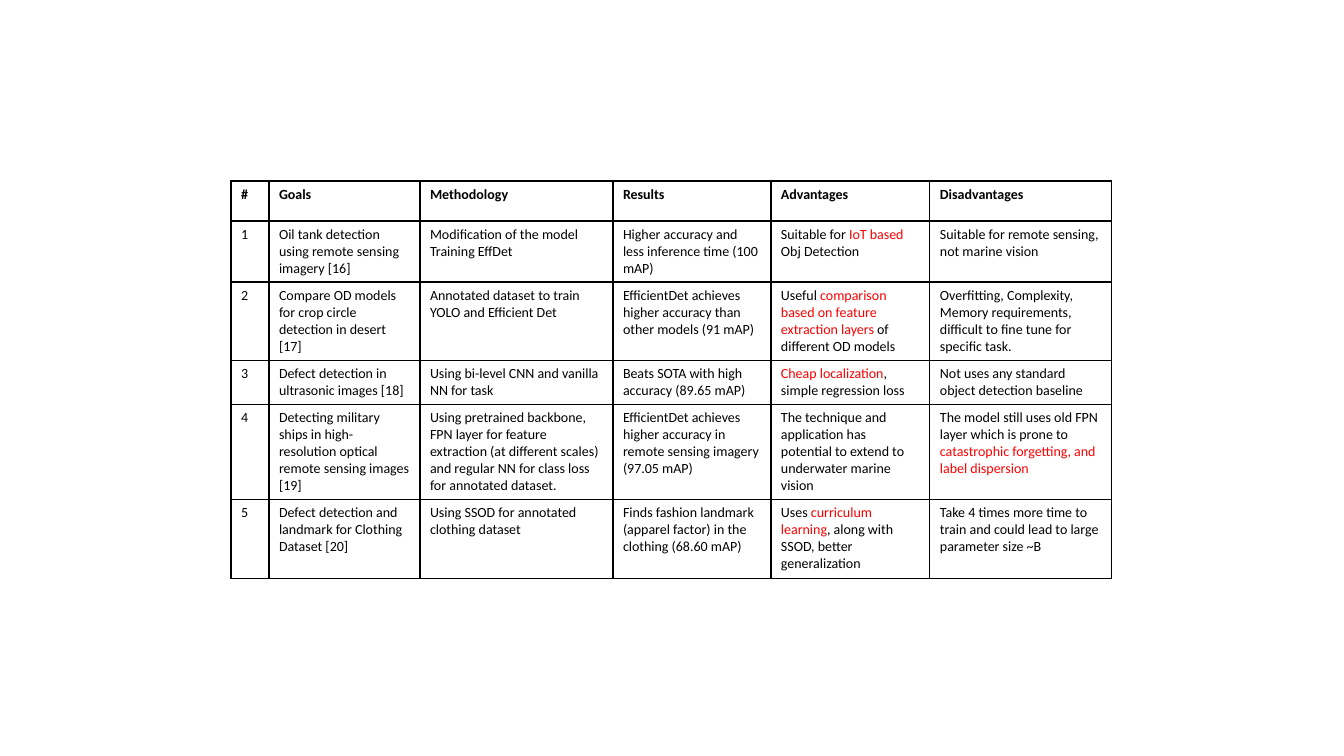
"""Build a slide with a table comparing object detection studies."""
from typing import NamedTuple

from lxml.etree import SubElement
from pptx import Presentation
from pptx.dml.color import RGBColor
from pptx.oxml.ns import qn
from pptx.util import Emu, Pt

BLACK = RGBColor(0x00, 0x00, 0x00)
RED = RGBColor(0xFF, 0x00, 0x00)
FONT = "Calibri"
SIZE = Pt(10)
BORDER = Pt(1)
SCALE = 914400 / 100.8
LEFT, TOP = 231, 181
COL_WIDTHS = (38, 151, 193, 158, 159, 182)


class Study(NamedTuple):
    """One table row; text between bars is highlighted."""
    height: int
    number: str
    goals: str
    methodology: str
    results: str
    advantages: str
    disadvantages: str


STUDIES = (
    Study(40, "#", "Goals", "Methodology", "Results", "Advantages", "Disadvantages"),
    Study(61, "1", "Oil tank detection using remote sensing imagery [16]",
          "Modification of the model Training EffDet",
          "Higher accuracy and less inference time (100 mAP)",
          "Suitable for |IoT based |Obj Detection",
          "Suitable for remote sensing, not marine vision"),
    Study(78, "2", "Compare OD models for crop circle detection in desert [17]",
          "Annotated dataset to train YOLO and Efficient Det",
          "EfficientDet achieves higher accuracy than other models (91 mAP)",
          "Useful |comparison based on feature extraction layers |of different OD models",
          "Overfitting, Complexity, Memory requirements, difficult to fine tune for specific task."),
    Study(44, "3", "Defect detection in ultrasonic images [18]",
          "Using bi-level CNN and vanilla NN for task",
          "Beats SOTA with high accuracy (89.65 mAP)",
          "|Cheap localization|, simple regression loss",
          "Not uses any standard object detection baseline"),
    Study(95, "4",
          "Detecting military ships in high-resolution optical remote sensing images [19]",
          "Using pretrained backbone, FPN layer for feature extraction (at different scales) "
          "and regular NN for class loss for annotated dataset.",
          "EfficientDet achieves higher accuracy in remote sensing imagery (97.05 mAP)",
          "The technique and application has potential to extend to underwater marine vision",
          "The model still uses old FPN layer which is prone to "
          "|catastrophic forgetting, and label dispersion|"),
    Study(79, "5", "Defect detection and landmark for Clothing Dataset [20]",
          "Using SSOD for annotated clothing dataset",
          "Finds fashion landmark (apparel factor) in the clothing (68.60 mAP)",
          "Uses |curriculum learning|, along with SSOD, better generalization",
          "Take 4 times more time to train and could lead to large parameter size ~B"),
)


def px(pixels: float) -> Emu:
    """Convert pixels to EMU."""
    return Emu(round(pixels * SCALE))


def add_borders(cell) -> None:
    """Draw a black line on all four sides of a cell."""
    props = cell._tc.get_or_add_tcPr()
    for side in ("a:lnL", "a:lnR", "a:lnT", "a:lnB"):
        line = SubElement(props, qn(side), w=str(BORDER))
        fill = SubElement(line, qn("a:solidFill"))
        SubElement(fill, qn("a:srgbClr"), val=str(BLACK))


def fill_cell(cell, text: str, bold: bool) -> None:
    """Write the text of a cell, with its highlighted parts in red."""
    add_borders(cell)
    cell.fill.background()
    p = cell.text_frame.paragraphs[0]
    for i, part in enumerate(text.split("|")):
        if part:
            r = p.add_run()
            r.text = part
            r.font.name, r.font.size, r.font.bold = FONT, SIZE, bold
            r.font.color.rgb = RED if i % 2 else BLACK


def add_study_table(s, studies: tuple[Study, ...]) -> None:
    """Add the comparison table to the slide."""
    width, height = sum(COL_WIDTHS), sum(study.height for study in studies)
    table = s.shapes.add_table(len(studies), len(COL_WIDTHS),
                               px(LEFT), px(TOP), px(width), px(height)).table
    table.horz_banding = False
    for column, col_width in zip(table.columns, COL_WIDTHS):
        column.width = px(col_width)
    for i, (row, study) in enumerate(zip(table.rows, studies)):
        row.height = px(study.height)
        for cell, text in zip(row.cells, study[1:]):
            fill_cell(cell, text, bold=i == 0)


prs = Presentation()
prs.slide_width, prs.slide_height = px(1344), px(756)
s = prs.slides.add_slide(prs.slide_layouts[6])
add_study_table(s, STUDIES)
prs.save("out.pptx")
